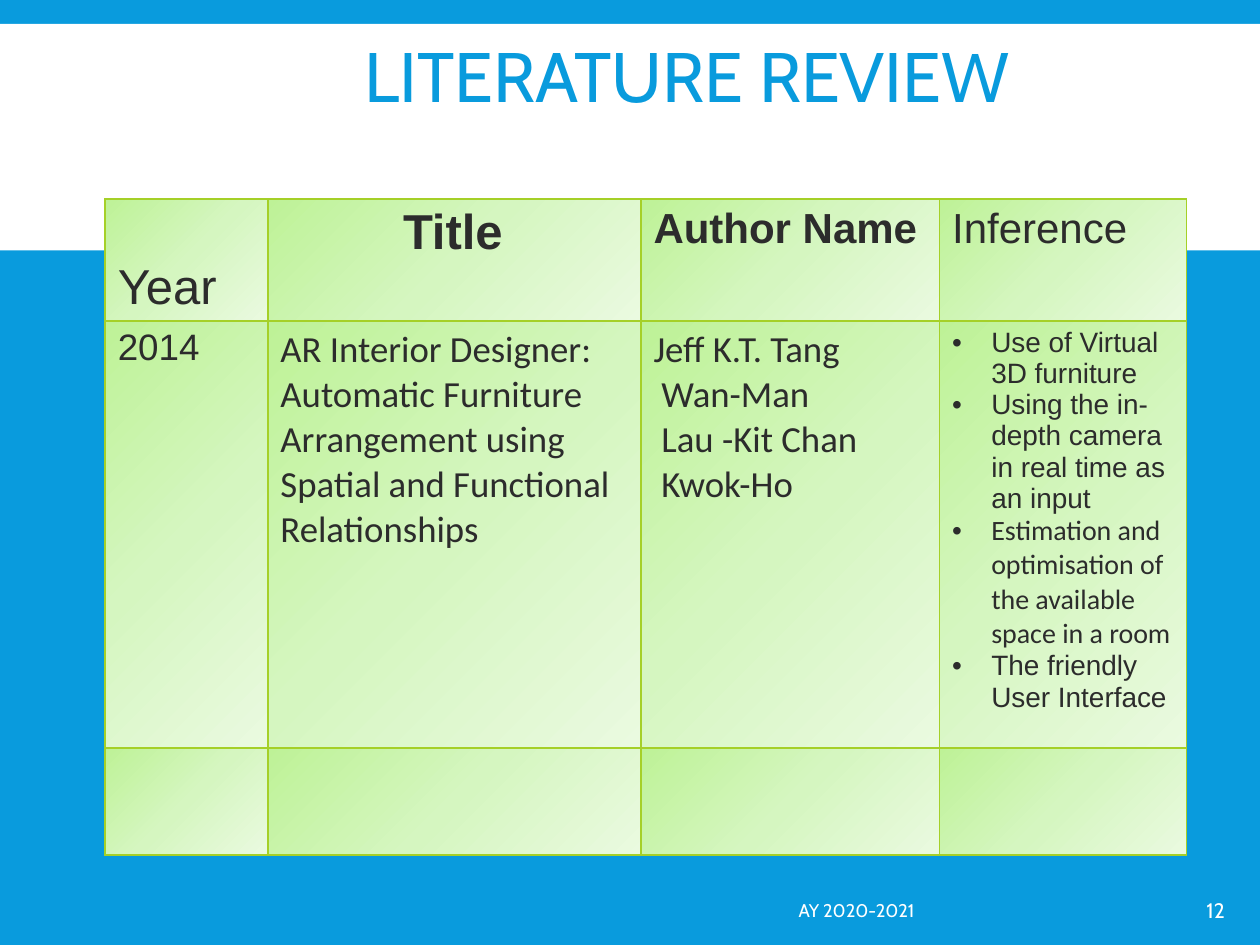
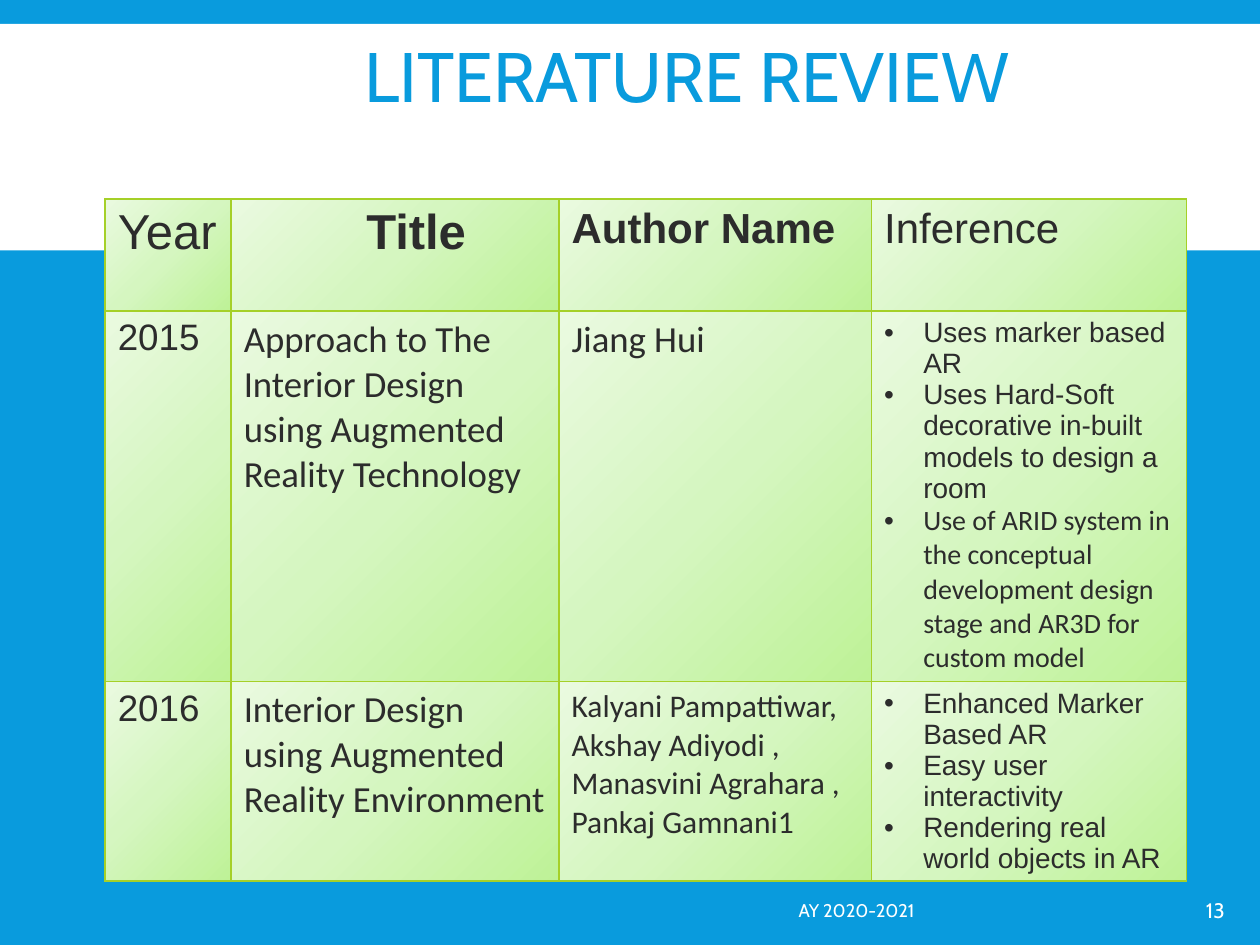
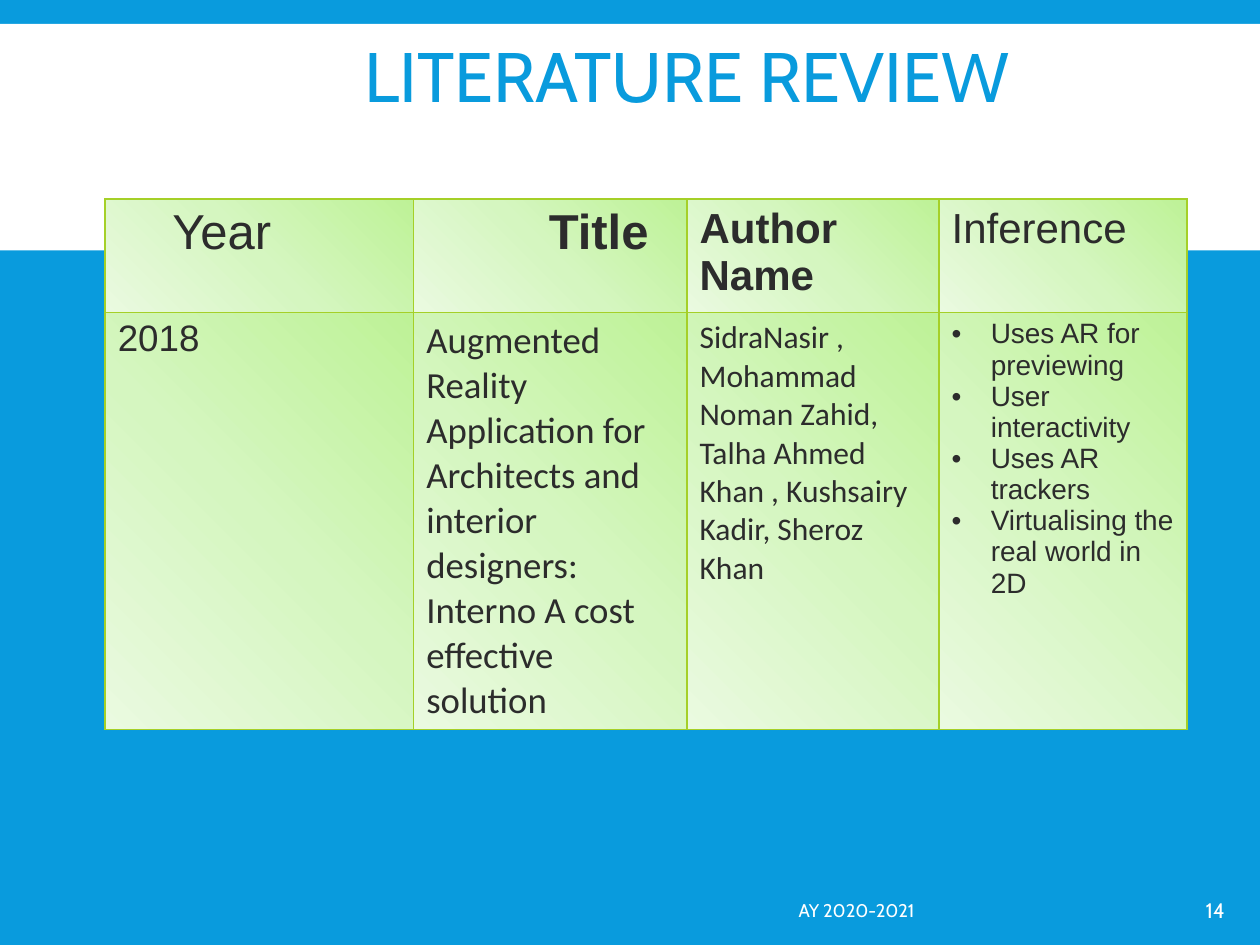
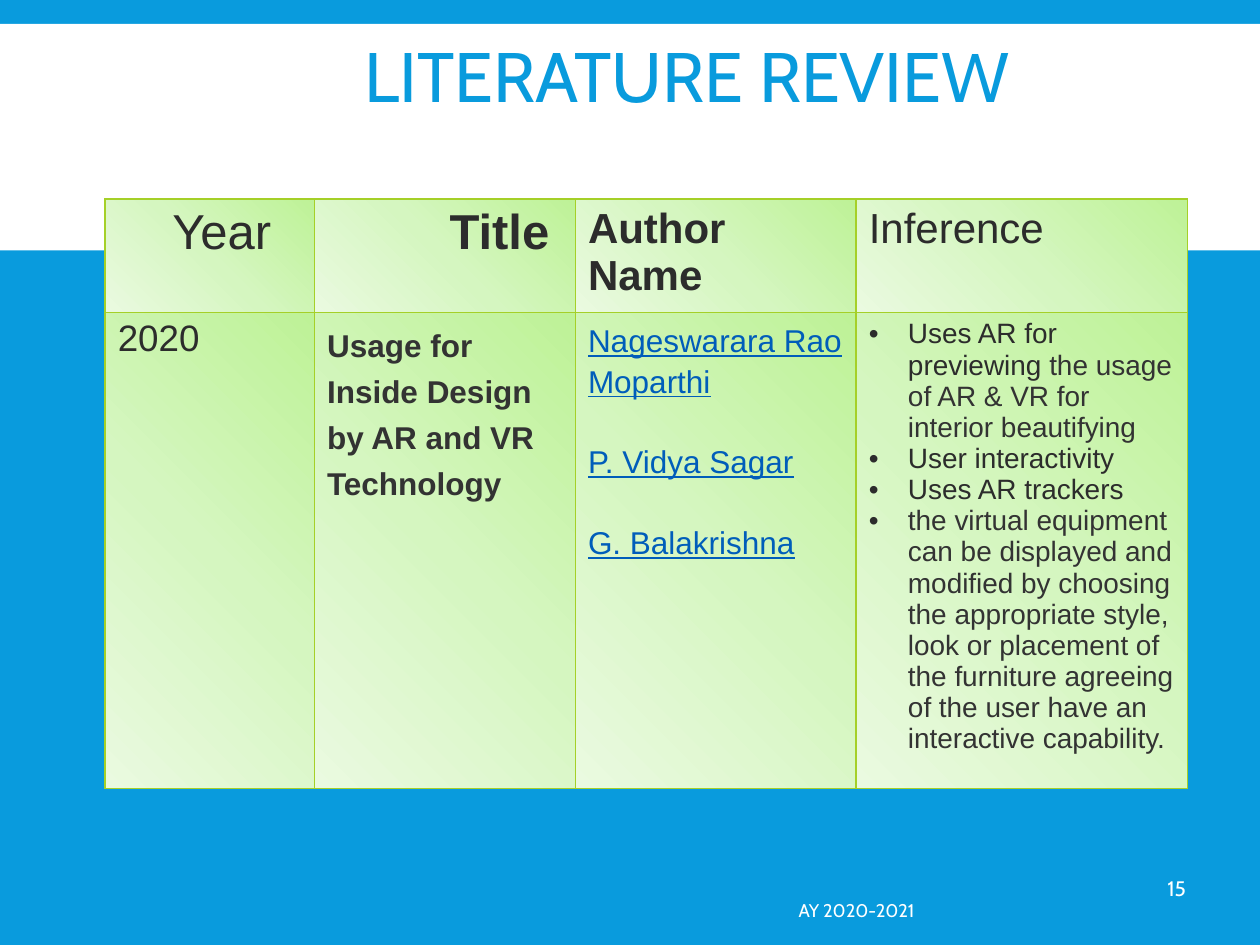
"""Build the four literature review slides."""
from dataclasses import dataclass, replace
from typing import Optional

from lxml import etree
from pptx import Presentation
from pptx import util as u
from pptx.dml.color import RGBColor
from pptx.enum import shapes, text
from pptx.oxml.ns import qn

COLOURS = {
    "sky": "099BDD", "white": "FFFFFF", "ink": "2C2C2C", "soft": "333333",
    "link": "005DBA", "border": "A5D028",
    "leaf": "BEF297", "mint": "D5F6C0", "pale": "EAFAE0",
}
GRADIENT = ((0, "leaf"), (50, "mint"), (100, "pale"))
TITLE_ONLY = 5
HEADER_HEIGHT = 2.26
LEFT, CENTRE, RIGHT = text.PP_ALIGN.LEFT, text.PP_ALIGN.CENTER, text.PP_ALIGN.RIGHT


@dataclass(frozen=True)
class Style:
    """Look of one paragraph; indents in centimetres, spacing in lines or a length."""
    font: str = "Arial"
    size: float = 21
    colour: str = "ink"
    bold: bool = False
    underline: bool = False
    bullet: bool = False
    indent: float = 0
    spacing: Optional[float] = None
    before: float = 0
    align: text.PP_ALIGN = LEFT


@dataclass(frozen=True)
class Para:
    """A paragraph, with an optional ending in the softer colour."""
    words: str
    style: Style
    tail: str = ""


@dataclass(frozen=True)
class Sheen:
    """Direction of a cell gradient: an angle, or the corner it radiates from."""
    angle: int = 0
    corner: tuple[str, ...] = ()


@dataclass(frozen=True)
class Area:
    """A rectangle in centimetres."""
    left: float
    top: float
    width: float
    height: float


@dataclass(frozen=True)
class Review:
    """One slide: its number, table grid, gradient and body rows."""
    number: int
    columns: tuple[float, ...]
    heights: tuple[float, ...]
    sheen: Sheen
    rows: tuple[tuple[list[Para], ...], ...]
    year_indent: float = 0
    year_low: bool = False
    number_area: Area = Area(22.96, 17.83, 1.98, 1.02)


BAND = Area(0, 0.48, 25.4, 4.57)
TITLE = Area(1.7, 0.43, 21.89, 2.36)
FOOTER = Area(11.63, 17.83, 11.28, 1.02)
TABLE_LEFT, TABLE_TOP = 2.12, 4.01

HEADING = Style("Cabin", 40, "sky", indent=5.39, spacing=0.9)
FOOTING = Style("Cabin", 10.5, "white", align=CENTRE)
NUMBERING = Style("Cabin", 12, "white", align=RIGHT)
YEAR_HEAD = Style(size=28)
TITLE_HEAD = Style(size=28, bold=True, indent=2.47)
AUTHOR_HEAD = Style(size=24, bold=True)
INFERENCE_HEAD = Style(size=24)
YEAR = Style()
PAPER = Style("Calibri")
COAUTHOR = replace(PAPER, indent=0.16)
AUTHORS = Style("Calibri", 18)
BOLD_PAPER = Style(size=18, colour="soft", bold=True, spacing=1.3)
LINK = Style(size=18, colour="link", underline=True, spacing=1.15)
NEXT_LINK = replace(LINK, before=23)
POINT = Style(size=16, bullet=True, indent=0.79, spacing=u.Pt(17.8))
CALIBRI_POINT = replace(POINT, font="Calibri", spacing=u.Pt(19.5))
SOFT_POINT = replace(POINT, colour="soft")


def paras(style: Style, *lines: str) -> list[Para]:
    """Give every line the same style."""
    return [Para(line, style) for line in lines]


REVIEWS = (
    Review(12, (3.28, 7.52, 6.02, 4.98), (2.46, 8.61, 2.16), Sheen(angle=45), ((
        paras(YEAR, "2014"),
        paras(PAPER, "AR Interior Designer: Automatic Furniture Arrangement "
                     "using Spatial and Functional Relationships"),
        paras(PAPER, "Jeff K.T. Tang")
        + paras(COAUTHOR, "Wan-Man", "Lau -Kit Chan Kwok-Ho"),
        paras(POINT, "Use of Virtual 3D furniture",
              "Using the in-depth camera in real time as an input")
        + paras(CALIBRI_POINT, "Estimation and optimisation of the available "
                               "space in a room")
        + paras(POINT, "The friendly User Interface"),
    ),), year_low=True),
    Review(13, (2.54, 6.61, 6.3, 6.35), (HEADER_HEIGHT, 7.47, 4),
           Sheen(corner=("l", "t")), ((
        paras(YEAR, "2015"),
        paras(PAPER, "Approach to The Interior Design using Augmented "
                     "Reality Technology"),
        paras(PAPER, "Jiang Hui"),
        paras(POINT, "Uses marker based AR",
              "Uses Hard-Soft decorative in-built models to design a room")
        + paras(CALIBRI_POINT, "Use of ARID system in the conceptual development "
                               "design stage and AR3D for custom model"),
    ), (
        paras(YEAR, "2016"),
        paras(PAPER, "Interior Design using Augmented Reality Environment"),
        paras(AUTHORS, "Kalyani Pampattiwar, Akshay Adiyodi , "
                       "Manasvini Agrahara , Pankaj Gamnani1"),
        paras(POINT, "Enhanced Marker Based AR", "Easy user interactivity",
              "Rendering real world objects in AR"),
    ))),
    Review(14, (6.22, 5.51, 5.08, 5), (HEADER_HEIGHT, 8.41),
           Sheen(corner=("l", "b")), ((
        paras(YEAR, "2018"),
        paras(PAPER, "Augmented Reality Application for Architects and interior "
                     "designers: Interno A cost effective solution"),
        paras(AUTHORS, "SidraNasir , Mohammad Noman Zahid,",
              "Talha Ahmed Khan , Kushsairy Kadir, Sheroz Khan"),
        paras(POINT, "Uses AR for previewing", "User interactivity",
              "Uses AR trackers", "Virtualising the real world in 2D"),
    ),), year_indent=1.1),
    Review(15, (4.22, 5.26, 5.66, 6.68), (HEADER_HEIGHT, 9.6), Sheen(angle=135), ((
        paras(YEAR, "2020"),
        paras(BOLD_PAPER, "Usage for Inside Design by AR and VR Technology"),
        paras(LINK, "Nageswarara Rao Moparthi")
        + paras(NEXT_LINK, "P. Vidya Sagar", "G. Balakrishna"),
        [Para("Uses AR for previewing ", POINT,
              "the usage of AR & VR for interior beautifying")]
        + paras(POINT, "User interactivity", "Uses AR trackers")
        + paras(SOFT_POINT, "the virtual equipment can be displayed and modified "
                            "by choosing the appropriate style, look or placement "
                            "of the furniture agreeing of the user have an "
                            "interactive capability."),
    ),), year_indent=1.1, number_area=Area(18.44, 17.4, 5.72, 1.02)),
)


def rgb(name: str) -> RGBColor:
    """Look up a named colour."""
    return RGBColor.from_string(COLOURS[name])


def place(area: Area) -> tuple[u.Length, ...]:
    """Turn an area into lengths."""
    return u.Cm(area.left), u.Cm(area.top), u.Cm(area.width), u.Cm(area.height)


def child(parent, tag: str, **attributes):
    """Append a drawing element."""
    return etree.SubElement(parent, qn(f"a:{tag}"),
                            {key: str(value) for key, value in attributes.items()})


def add_bullet(properties) -> None:
    """Add a round bullet in the ink colour."""
    child(child(properties, "buClr"), "srgbClr", val=COLOURS["ink"])
    child(properties, "buFont", typeface="Arial")
    child(properties, "buChar", char="•")


def write(frame, items: list[Para]) -> None:
    """Fill a text frame with styled paragraphs."""
    frame.word_wrap = True
    for index, item in enumerate(items):
        para = frame.paragraphs[0] if index == 0 else frame.add_paragraph()
        style = item.style
        properties = para._p.get_or_add_pPr()
        if style.indent:
            indent = u.Cm(style.indent)
            properties.set("marL", str(indent))
            properties.set("indent", str(-indent if style.bullet else 0))
        if style.bullet:
            add_bullet(properties)
        para.alignment = style.align
        if style.spacing:
            para.line_spacing = style.spacing
        if style.before:
            para.space_before = u.Pt(style.before)
        font = para.font
        font.name, font.size = style.font, u.Pt(style.size)
        font.bold, font.underline = style.bold, style.underline
        font.color.rgb = rgb(style.colour)
        para.add_run().text = item.words
        if item.tail:
            span = para.add_run()
            span.text = item.tail
            span.font.color.rgb = rgb("soft")


def paint_cell(cell, sheen: Sheen) -> None:
    """Give a cell its border lines and gradient."""
    properties = cell._tc.get_or_add_tcPr()
    for side in ("lnL", "lnR", "lnT", "lnB"):
        line = child(properties, side, w=u.Pt(1))
        child(child(line, "solidFill"), "srgbClr", val=COLOURS["border"])
    gradient = child(properties, "gradFill", rotWithShape=1)
    stops = child(gradient, "gsLst")
    for position, name in GRADIENT:
        child(child(stops, "gs", pos=position * 1000), "srgbClr", val=COLOURS[name])
    if sheen.corner:
        focus = child(gradient, "path", path="circle")
        child(focus, "fillToRect", **{side: 100000 for side in sheen.corner})
    else:
        child(gradient, "lin", ang=sheen.angle * 60000, scaled=1)


def add_text(page, area: Area, words: str, style: Style) -> None:
    """Add a vertically centred line of text."""
    frame = page.shapes.add_textbox(*place(area)).text_frame
    frame.vertical_anchor = text.MSO_ANCHOR.MIDDLE
    write(frame, paras(style, words))


def add_review_table(page, review: Review) -> None:
    """Add the table with its header and body rows."""
    area = Area(TABLE_LEFT, TABLE_TOP, sum(review.columns), sum(review.heights))
    table = page.shapes.add_table(len(review.heights), len(review.columns),
                                  *place(area)).table
    table.first_row = table.horz_banding = False
    for column, width in zip(table.columns, review.columns):
        column.width = u.Cm(width)
    for row, height in zip(table.rows, review.heights):
        row.height = u.Cm(height)
    header = (
        paras(replace(YEAR_HEAD, indent=review.year_indent), "Year"),
        paras(TITLE_HEAD, "Title"),
        paras(AUTHOR_HEAD, "Author Name"),
        paras(INFERENCE_HEAD, "Inference"),
    )
    for cell in table.iter_cells():
        paint_cell(cell, review.sheen)
    for row, contents in zip(table.rows, (header, *review.rows)):
        for cell, items in zip(row.cells, contents):
            write(cell.text_frame, items)
    if review.year_low:
        table.cell(0, 0).vertical_anchor = text.MSO_ANCHOR.BOTTOM


def add_title(page) -> None:
    """Move and format the title placeholder."""
    box = page.shapes.title
    box.left, box.top, box.width, box.height = place(TITLE)
    box.text_frame.auto_size = text.MSO_AUTO_SIZE.NONE
    box.text_frame.vertical_anchor = text.MSO_ANCHOR.MIDDLE
    write(box.text_frame, paras(HEADING, "LITERATURE REVIEW"))


def add_band(page) -> None:
    """Put the white title band on the page's layout."""
    band = page.shapes.add_shape(shapes.MSO_SHAPE.RECTANGLE, *place(BAND))
    band.shadow.inherit = False
    band.fill.solid()
    band.fill.fore_color.rgb = rgb("white")
    band.line.fill.background()
    page.slide_layout.shapes.element.insert(2, band.element)


def main() -> None:
    """Build and save the deck."""
    deck = Presentation()
    deck.slide_width, deck.slide_height = u.Cm(25.4), u.Cm(19.05)
    background = deck.slide_master.background.fill
    background.solid()
    background.fore_color.rgb = rgb("sky")
    for index, review in enumerate(REVIEWS):
        page = deck.slides.add_slide(deck.slide_layouts[TITLE_ONLY])
        if index == 0:
            add_band(page)
        add_title(page)
        add_text(page, FOOTER, "AY 2020-2021", FOOTING)
        add_text(page, review.number_area, str(review.number), NUMBERING)
        add_review_table(page, review)
    deck.save("out.pptx")


if __name__ == "__main__":
    main()
